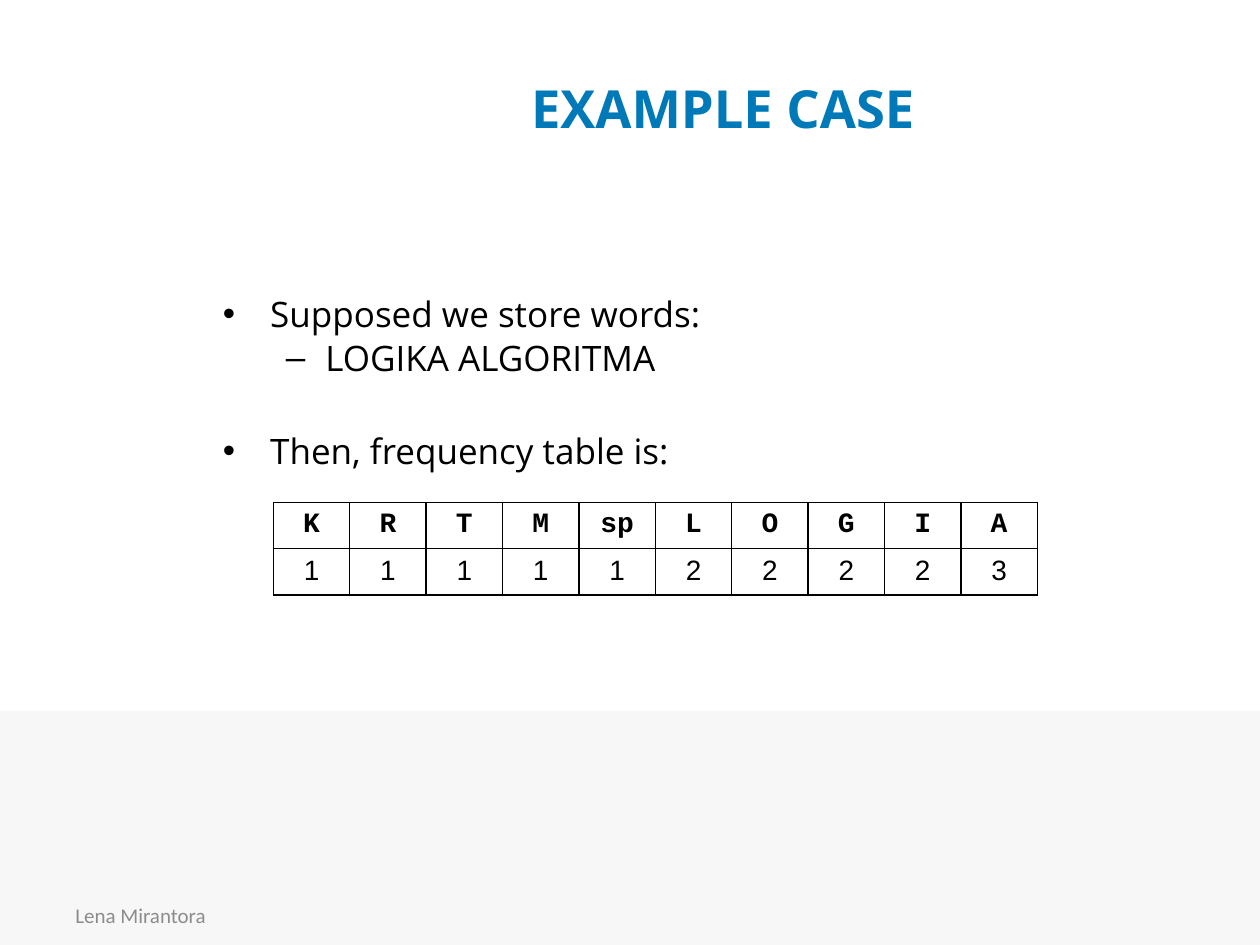
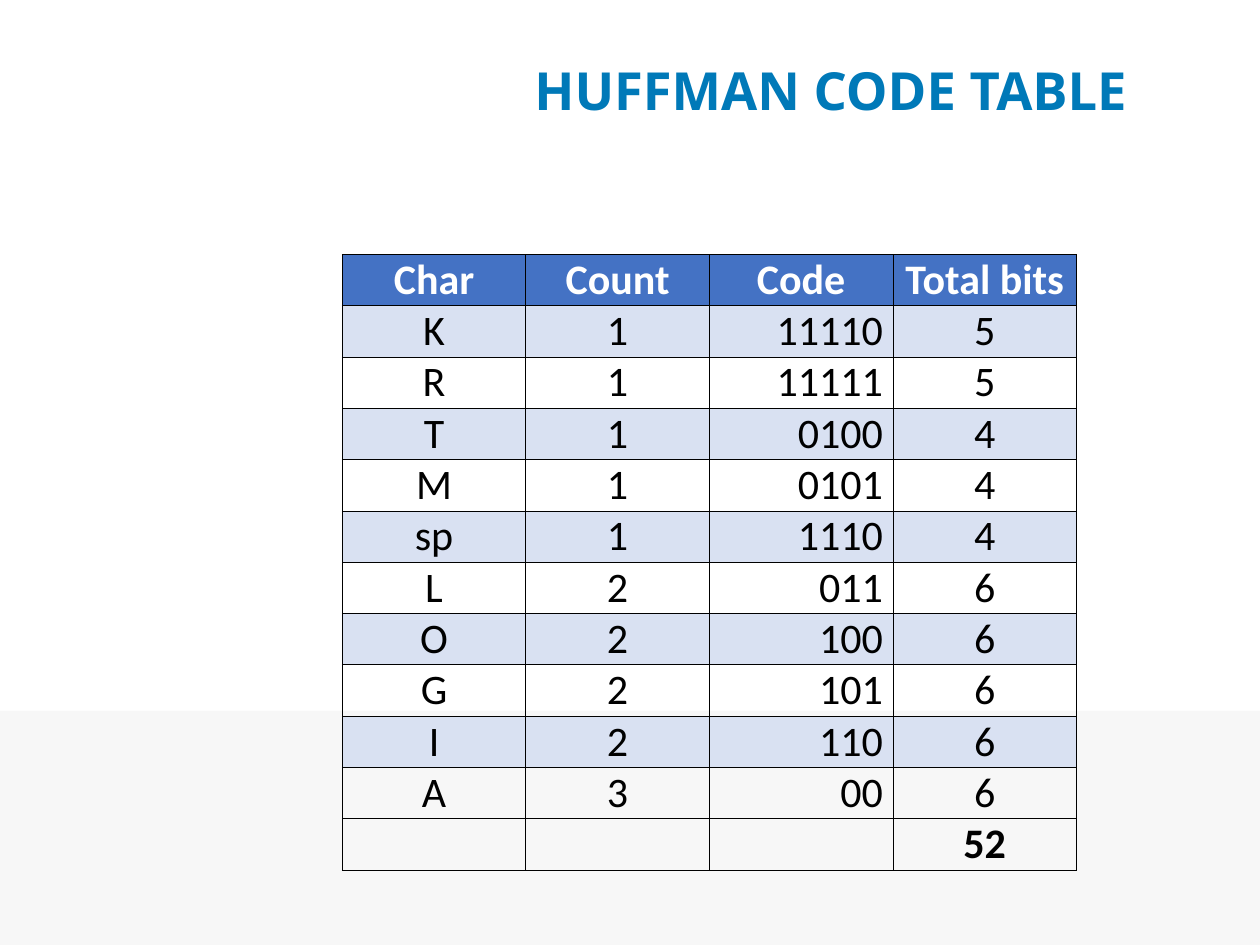
"""Build two slides on Huffman coding: a frequency table and a code table."""
from lxml.etree import SubElement
from pptx import Presentation
from pptx.dml.color import RGBColor
from pptx.enum.shapes import MSO_SHAPE
from pptx.enum.text import MSO_ANCHOR, MSO_AUTO_SIZE, PP_ALIGN
from pptx.oxml.ns import qn
from pptx.util import Cm, Pt

COLORS = {
    "title": "0079B8",
    "text": "000000",
    "footer": "8C8C8C",
    "band": "F7F7F7",
    "header": "4472C4",
    "header_text": "FFFFFF",
    "stripe": "D9E1F2",
    "border": "000000",
}
TITLE_LAYOUT = {"list": 1, "table": 5}
FREQUENCIES = {"K": 1, "R": 1, "T": 1, "M": 1, "sp": 1,
               "L": 2, "O": 2, "G": 2, "I": 2, "A": 3}
CODES = ["11110", "11111", "0100", "0101", "1110",
         "011", "100", "101", "110", "00"]


class Deck:
    def __init__(self):
        self.presentation = Presentation()
        self.presentation.slide_width = Cm(25.4)
        self.presentation.slide_height = Cm(19.05)
        self.slide = None

    def add_slide(self, kind, title, left, top, width, height):
        layout = self.presentation.slide_layouts[TITLE_LAYOUT[kind]]
        self.slide = self.presentation.slides.add_slide(layout)
        shape = self.slide.shapes.title
        self.place(shape, left, top, width, height)
        shape.text_frame.text = title
        shape.text_frame.vertical_anchor = MSO_ANCHOR.MIDDLE
        self.format(shape.text_frame.paragraphs[0], "Open Sans", 30, "title",
                    bold=True, align=PP_ALIGN.CENTER)

    def place(self, shape, left, top, width, height):
        shape.left, shape.top = Cm(left), Cm(top)
        shape.width, shape.height = Cm(width), Cm(height)

    def format(self, paragraph, font, size, color, bold=False, align=None):
        paragraph.font.name = font
        paragraph.font.size = Pt(size)
        paragraph.font.bold = bold
        paragraph.font.color.rgb = RGBColor.from_string(COLORS[color])
        paragraph.alignment = align

    def add_master_band(self, top):
        height = self.presentation.slide_height - Cm(top)
        band = self.slide.shapes.add_shape(
            MSO_SHAPE.RECTANGLE, 0, Cm(top), self.presentation.slide_width, height)
        band.shadow.inherit = False
        band.fill.solid()
        band.fill.fore_color.rgb = RGBColor.from_string(COLORS["band"])
        band.line.fill.background()
        self.presentation.slide_master.shapes._spTree.insert(2, band._element)

    def add_footer(self, text):
        frame = self.slide.shapes.add_textbox(
            Cm(1.27), Cm(17.93), Cm(5.92), Cm(1.02)).text_frame
        frame.word_wrap = True
        frame.vertical_anchor = MSO_ANCHOR.MIDDLE
        frame.text = text
        self.format(frame.paragraphs[0], "Calibri", 12, "footer")

    def add_list(self, items, left, top, width, height):
        body = self.slide.placeholders[1]
        self.place(body, left, top, width, height)
        frame = body.text_frame
        frame.auto_size = MSO_AUTO_SIZE.NONE
        frame.text = "\n".join(text for text, _, _ in items)
        for paragraph, (_, level, gap) in zip(frame.paragraphs, items):
            paragraph.level = level
            paragraph.space_before = Pt(gap)
            self.format(paragraph, "Open Sans", 20, "text")

    def add_table(self, rows, columns, left, top, width, height, border):
        table = self.slide.shapes.add_table(
            rows, columns, Cm(left), Cm(top), Cm(width), Cm(height)).table
        table.first_row = table.horz_banding = False
        for cell in table.iter_cells():
            self.add_borders(cell, border)
            cell.fill.background()
        return table

    def add_borders(self, cell, width):
        properties = cell._tc.get_or_add_tcPr()
        for side in ("a:lnL", "a:lnR", "a:lnT", "a:lnB"):
            line = SubElement(properties, qn(side), w=str(Pt(width)))
            fill = SubElement(line, qn("a:solidFill"))
            SubElement(fill, qn("a:srgbClr"), val=COLORS["border"])

    def fill_cell(self, cell, text, font, size, color="text", bold=False,
                  align=PP_ALIGN.CENTER, fill=None):
        cell.text = text
        self.format(cell.text_frame.paragraphs[0], font, size, color, bold, align)
        if fill:
            cell.fill.solid()
            cell.fill.fore_color.rgb = RGBColor.from_string(COLORS[fill])


def build_example_case(deck):
    deck.add_slide("list", "EXAMPLE CASE", 4.9, 0.58, 19.35, 3.18)
    deck.add_master_band(14.33)
    deck.add_footer("Lena Mirantora")
    deck.add_list([("Supposed we store words:", 0, 0),
                   ("LOGIKA ALGORITMA", 1, 1),
                   ("Then, frequency table is:", 0, 29)],
                  4.24, 5.77, 19.63, 9.7)
    table = deck.add_table(2, len(FREQUENCIES), 5.51, 10.13, 15.4, 1.78, border=1)
    for column, (letter, count) in enumerate(FREQUENCIES.items()):
        deck.fill_cell(table.cell(0, column), letter, "Courier New", 16, bold=True)
        deck.fill_cell(table.cell(1, column), str(count), "Arial", 16)


def build_code_table(deck):
    deck.add_slide("table", "HUFFMAN CODE TABLE", 9.09, 0.46, 15.32, 2.67)
    bits = [count * len(code) for count, code in zip(FREQUENCIES.values(), CODES)]
    rows = [("Char", "Count", "Code", "Total bits"),
            *zip(FREQUENCIES, FREQUENCIES.values(), CODES, bits),
            ("", "", "", sum(bits))]
    last = len(rows) - 1
    table = deck.add_table(len(rows), 4, 6.9, 5.13, 14.8, 12.4, border=0.5)
    for row, values in enumerate(rows):
        header = row == 0
        striped = row % 2 == 1 and row < last
        for column, value in enumerate(values):
            cell = table.cell(row, column)
            is_code = column == 2 and not header
            cell.margin_left = cell.margin_top = cell.margin_bottom = 0
            cell.margin_right = Cm(0.2 if is_code else 0)
            cell.vertical_anchor = MSO_ANCHOR.MIDDLE
            deck.fill_cell(cell, str(value), "Calibri", 24,
                           color="header_text" if header else "text",
                           bold=row in (0, last),
                           align=PP_ALIGN.RIGHT if is_code else PP_ALIGN.CENTER,
                           fill="header" if header else "stripe" if striped else None)


def main():
    deck = Deck()
    build_example_case(deck)
    build_code_table(deck)
    deck.presentation.save("out.pptx")


if __name__ == "__main__":
    main()
